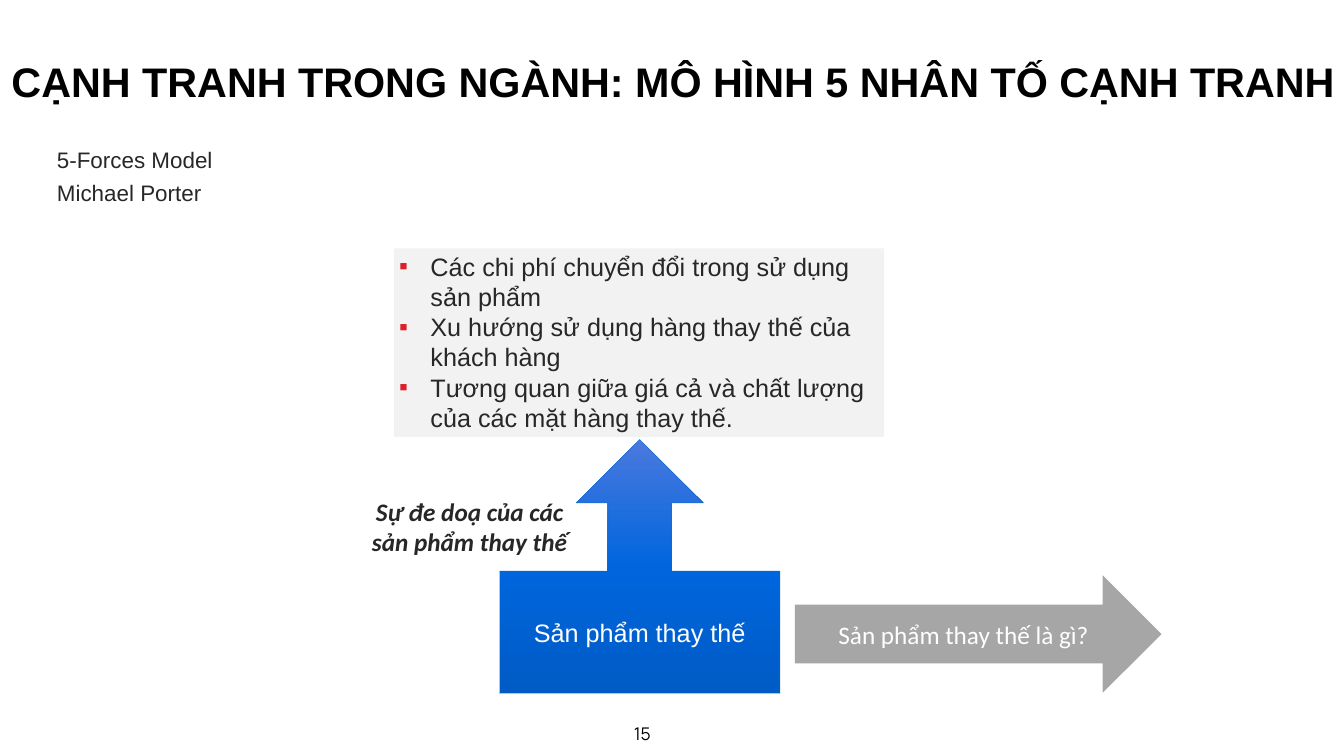
from copy import deepcopy

from lxml import etree
from pptx import Presentation
from pptx.dml.color import RGBColor
from pptx.enum.shapes import MSO_SHAPE
from pptx.enum.text import MSO_ANCHOR, MSO_AUTO_SIZE, PP_ALIGN
from pptx.oxml.ns import qn
from pptx.util import Inches, Pt

LEFT, CENTER = PP_ALIGN.LEFT, PP_ALIGN.CENTER
TOP, MIDDLE = MSO_ANCHOR.TOP, MSO_ANCHOR.MIDDLE
GROW, FIXED = MSO_AUTO_SIZE.SHAPE_TO_FIT_TEXT, MSO_AUTO_SIZE.NONE
RECT, RIGHT = MSO_SHAPE.RECTANGLE, MSO_SHAPE.RIGHT_ARROW
CALLOUT = MSO_SHAPE.UP_ARROW_CALLOUT

BLACK = RGBColor(0x00, 0x00, 0x00)
WHITE = RGBColor(0xFF, 0xFF, 0xFF)
INK = RGBColor(0x27, 0x27, 0x27)
PALE = RGBColor(0xF2, 0xF2, 0xF2)
GREY = RGBColor(0xA6, 0xA6, 0xA6)
EDGE = RGBColor(0x0A, 0x67, 0xD4)
BLUES = [RGBColor(0x4B, 0x79, 0xDE), RGBColor(0x00, 0x66, 0xDE),
         RGBColor(0x00, 0x5B, 0xC5)]
RED = "DB2029"

TITLE = ["CẠNH TRANH TRONG NGÀNH: MÔ HÌNH 5 NHÂN TỐ CẠNH TRANH"]
MODEL = ["5-Forces Model", "Michael Porter"]
POINTS = [
    "Các chi phí chuyển đổi trong sử dụng sản phẩm",
    "Xu hướng sử dụng hàng thay thế của khách hàng",
    "Tương quan giữa giá cả và chất lượng của các mặt hàng thay thế.",
]
FORCE = ["Sản phẩm thay thế"]
THREAT = ["Sự đe doạ của các sản phẩm thay thế"]
ASK = ["Sản phẩm thay thế là gì?"]
PAGE = ["15"]


def add_bullet(para):
    props = para._p.get_or_add_pPr()
    indent = Inches(0.62)
    props.set("marL", str(indent))
    props.set("indent", str(-indent))
    color = etree.SubElement(props, qn("a:buClr"))
    etree.SubElement(color, qn("a:srgbClr"), val=RED)
    etree.SubElement(props, qn("a:buFont"), typeface="Arial")
    etree.SubElement(props, qn("a:buChar"), char="▪")


def put_text(shape, lines, size=36, font="Arial", color=INK, bold=False,
             italic=False, align=LEFT, anchor=TOP, fit=GROW, space=None,
             after=None, bullet=False):
    frame = shape.text_frame
    frame.word_wrap = True
    frame.auto_size = fit
    frame.vertical_anchor = anchor
    for i, line in enumerate(lines):
        para = frame.add_paragraph() if i else frame.paragraphs[0]
        para.alignment = align
        if space:
            para.line_spacing = space
        if after:
            para.space_after = Pt(after)
        if bullet:
            add_bullet(para)
        run = para.add_run()
        run.text = line
        style = run.font
        style.name, style.size = font, Pt(size)
        style.bold, style.italic = bold, italic
        style.color.rgb = color


def add_box(slide, at, lines, **form):
    box = slide.shapes.add_textbox(*map(Inches, at))
    put_text(box, lines, **form)


def add_form(slide, kind, at, lines, fill=None, **form):
    shape = slide.shapes.add_shape(kind, *map(Inches, at))
    shape.shadow.inherit = False
    shape.line.fill.background()
    if fill is not None:
        shape.fill.solid()
        shape.fill.fore_color.rgb = fill
    put_text(shape, lines, **form)
    return shape


def shade(shape, colors):
    """Fill from top to bottom with evenly spaced colours."""
    fill = shape.fill
    fill.gradient()
    fill.gradient_angle = 270
    stops = shape._element.spPr.find(qn("a:gradFill")).find(qn("a:gsLst"))
    while len(stops) < len(colors):
        stops.append(deepcopy(stops[-1]))
    for i, (stop, color) in enumerate(zip(fill.gradient_stops, colors)):
        stop.position = i / (len(colors) - 1)
        stop.color.rgb = color


def main():
    deck = Presentation()
    deck.slide_width, deck.slide_height = Inches(26.66), Inches(15)
    slide = deck.slides.add_slide(deck.slide_layouts[6])

    add_box(slide, (11.95, 14.29, 1.58, 0.52), PAGE, size=25,
            font="Manrope", color=BLACK, align=CENTER)
    force = add_form(slide, CALLOUT, (9.91, 8.72, 5.56, 5.04), FORCE,
                     color=WHITE, align=CENTER, anchor=MIDDLE, fit=FIXED)
    force.adjustments[3] = 0.482
    shade(force, BLUES)
    force.line.color.rgb = EDGE
    force.line.width = Pt(0.5)
    add_box(slide, (7.16, 9.79, 4.31, 1.31), THREAT, font="Calibri",
            bold=True, italic=True, align=CENTER)
    add_box(slide, (1.03, 2.75, 7, 1.38), MODEL, size=32, space=1.2)
    add_form(slide, RECT, (7.82, 4.93, 9.72, 3.74), POINTS, fill=PALE,
             bullet=True)
    add_form(slide, RIGHT, (15.77, 11.41, 7.27, 2.34), ASK, fill=GREY,
             font="Calibri", color=WHITE, align=CENTER, anchor=MIDDLE,
             fit=FIXED)
    add_box(slide, (0.13, 0.96, 27.3, 1.11), TITLE, size=59, color=BLACK,
            bold=True, space=1.1, after=6)
    deck.save("out.pptx")


if __name__ == "__main__":
    main()
